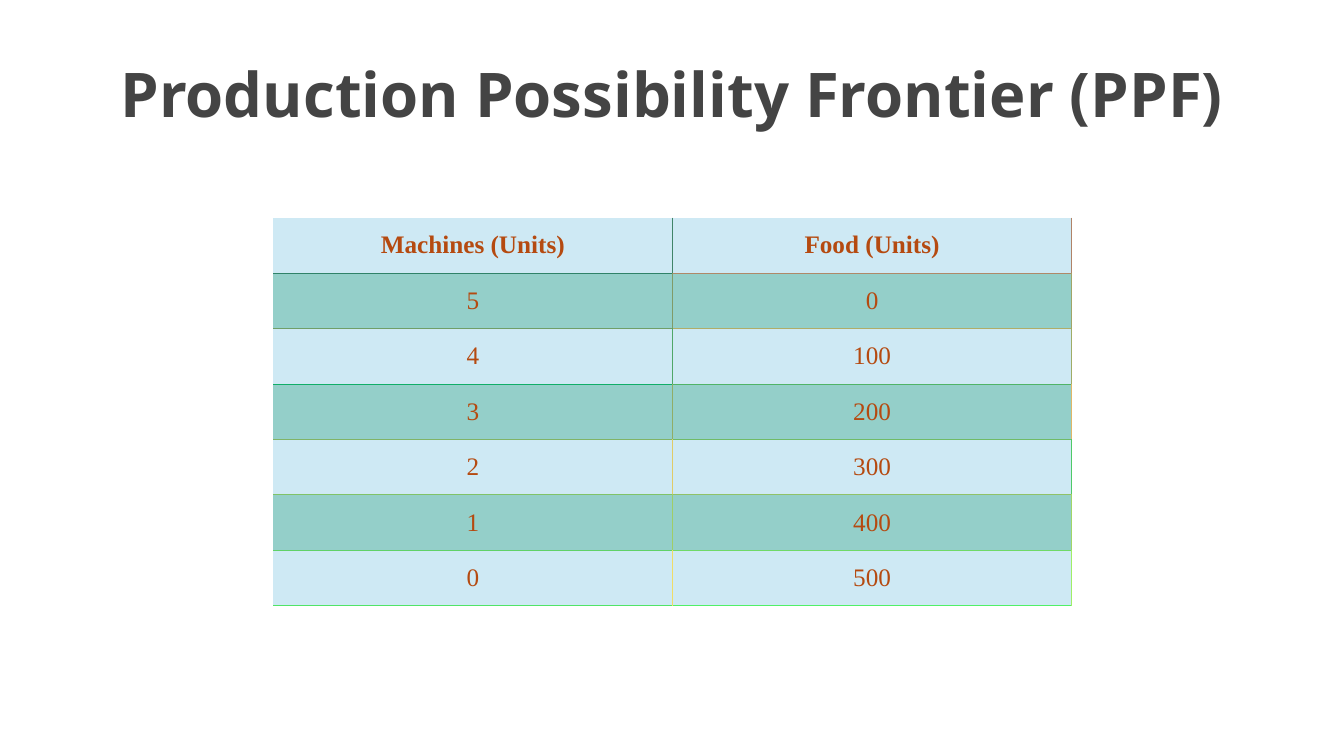
from lxml import etree
from pptx import Presentation
from pptx.dml.color import RGBColor
from pptx.enum.text import MSO_ANCHOR, MSO_AUTO_SIZE, PP_ALIGN
from pptx.oxml.ns import qn
from pptx.util import Inches, Pt

CENTER = PP_ALIGN.CENTER
MIDDLE = MSO_ANCHOR.MIDDLE
NO_AUTOFIT = MSO_AUTO_SIZE.NONE
TITLE_ONLY = 5

RUST = "B54A10"
BANDS = ["CEE9F4", "94CFC9"]
ROW_HEIGHT = Inches(0.55)
COLUMN_WIDTH = Inches(3.96)

SCHEDULE = [
    ("Machines (Units)", "Food (Units)"),
    *((str(5 - step), str(100 * step)) for step in range(6)),
]
RIGHT_EDGES = [
    ("408468", "B08368"),
    ("809B68", "A0A568"),
    ("50A768", "A0AC67"),
    ("90AD67", "E0B767"),
    ("E0CC67", "50C967"),
    ("A0CD67", "A0D667"),
    ("F0DD67", "A0EE67"),
]
BOTTOM_EDGES = [
    ("308268", "B08968"),
    ("709F68", "B0AD68"),
    ("10AE68", "50B467"),
    ("80B467", "70BB67"),
    ("80C367", "90C267"),
    ("60D167", "70D967"),
    ("50E467", "50F067"),
]


def write(frame, text, size, font, color, bold=False):
    paragraph = frame.paragraphs[0]
    paragraph.alignment = CENTER
    run = paragraph.add_run()
    run.text = text
    run.font.size = Pt(size)
    run.font.name = font
    run.font.bold = bold
    run.font.color.rgb = RGBColor.from_string(color)


def add_edge(cell, side, color):
    properties = cell._tc.get_or_add_tcPr()
    edge = etree.SubElement(properties, qn("a:ln" + side), w=str(Pt(0.75)))
    if color:
        fill = etree.SubElement(edge, qn("a:solidFill"))
        etree.SubElement(fill, qn("a:srgbClr"), val=color)
    else:
        etree.SubElement(edge, qn("a:noFill"))


prs = Presentation()
prs.slide_width = Inches(13.33)
prs.slide_height = Inches(7.5)
slide = prs.slides.add_slide(prs.slide_layouts[TITLE_ONLY])

heading = slide.shapes.title
heading.left, heading.top = Inches(0.67), Inches(0.3)
heading.width, heading.height = Inches(12), Inches(1.25)
heading.text_frame.auto_size = NO_AUTOFIT
heading.text_frame.vertical_anchor = MIDDLE
write(heading.text_frame, "Production Possibility Frontier (PPF)",
      size=44, font="Open Sans", color="444444", bold=True)

row_count, column_count = len(SCHEDULE), len(SCHEDULE[0])
schedule = slide.shapes.add_table(
    row_count, column_count, Inches(2.71), Inches(2.16),
    COLUMN_WIDTH * column_count, ROW_HEIGHT * row_count).table
schedule.first_row = False
schedule.horz_banding = False
for column in schedule.columns:
    column.width = COLUMN_WIDTH

for r, values in enumerate(SCHEDULE):
    schedule.rows[r].height = ROW_HEIGHT
    for c, value in enumerate(values):
        cell = schedule.cell(r, c)
        cell.vertical_anchor = MIDDLE
        cell.margin_left = cell.margin_right = Inches(0.08)
        cell.margin_top = cell.margin_bottom = Inches(0.08)
        add_edge(cell, "L", RIGHT_EDGES[r][c - 1] if c else None)
        add_edge(cell, "R", RIGHT_EDGES[r][c])
        add_edge(cell, "T", BOTTOM_EDGES[r - 1][c] if r else None)
        add_edge(cell, "B", BOTTOM_EDGES[r][c])
        cell.fill.solid()
        cell.fill.fore_color.rgb = RGBColor.from_string(BANDS[r % 2])
        write(cell.text_frame, value, size=18, font="Times New Roman",
              color=RUST, bold=r == 0)

prs.save("out.pptx")
